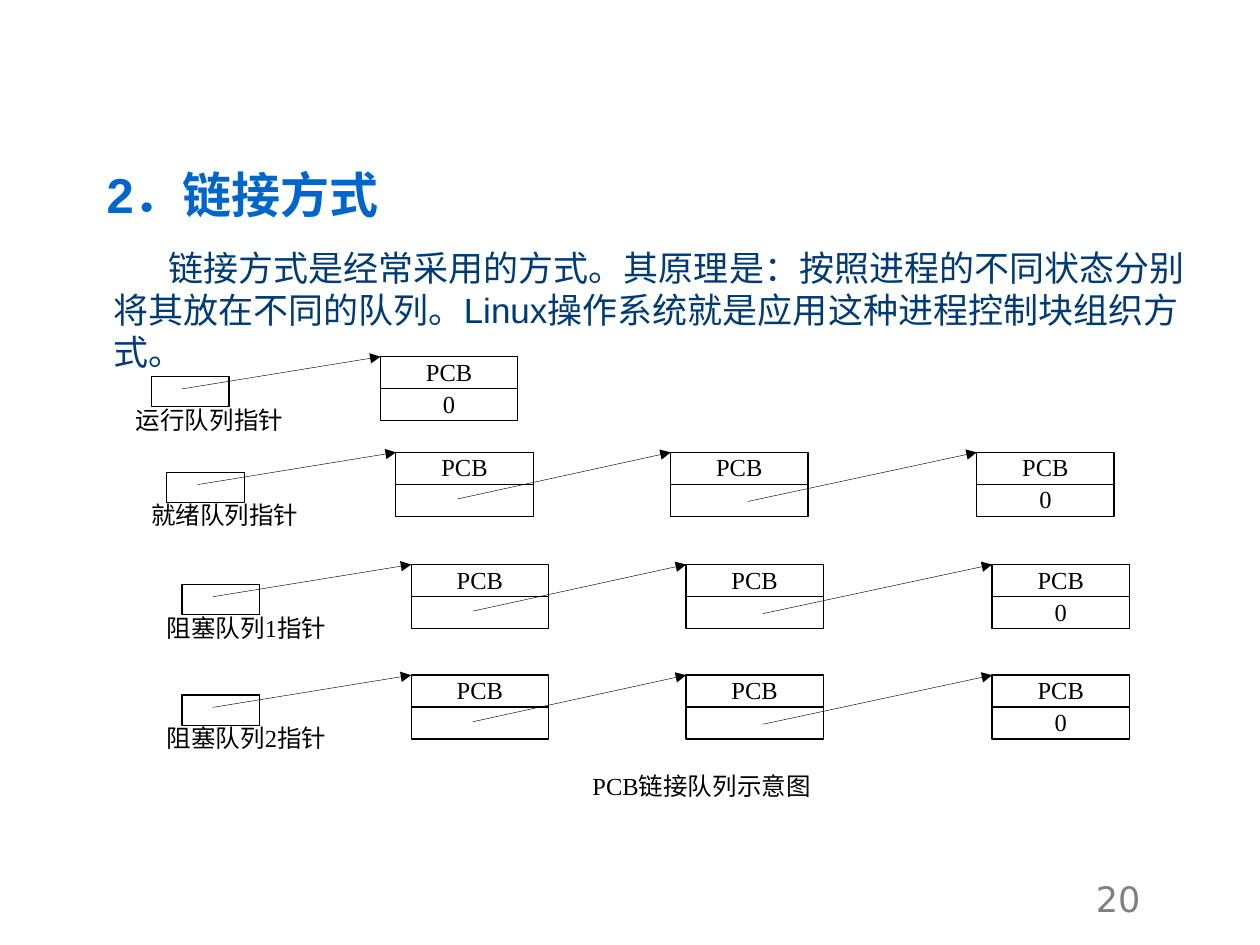
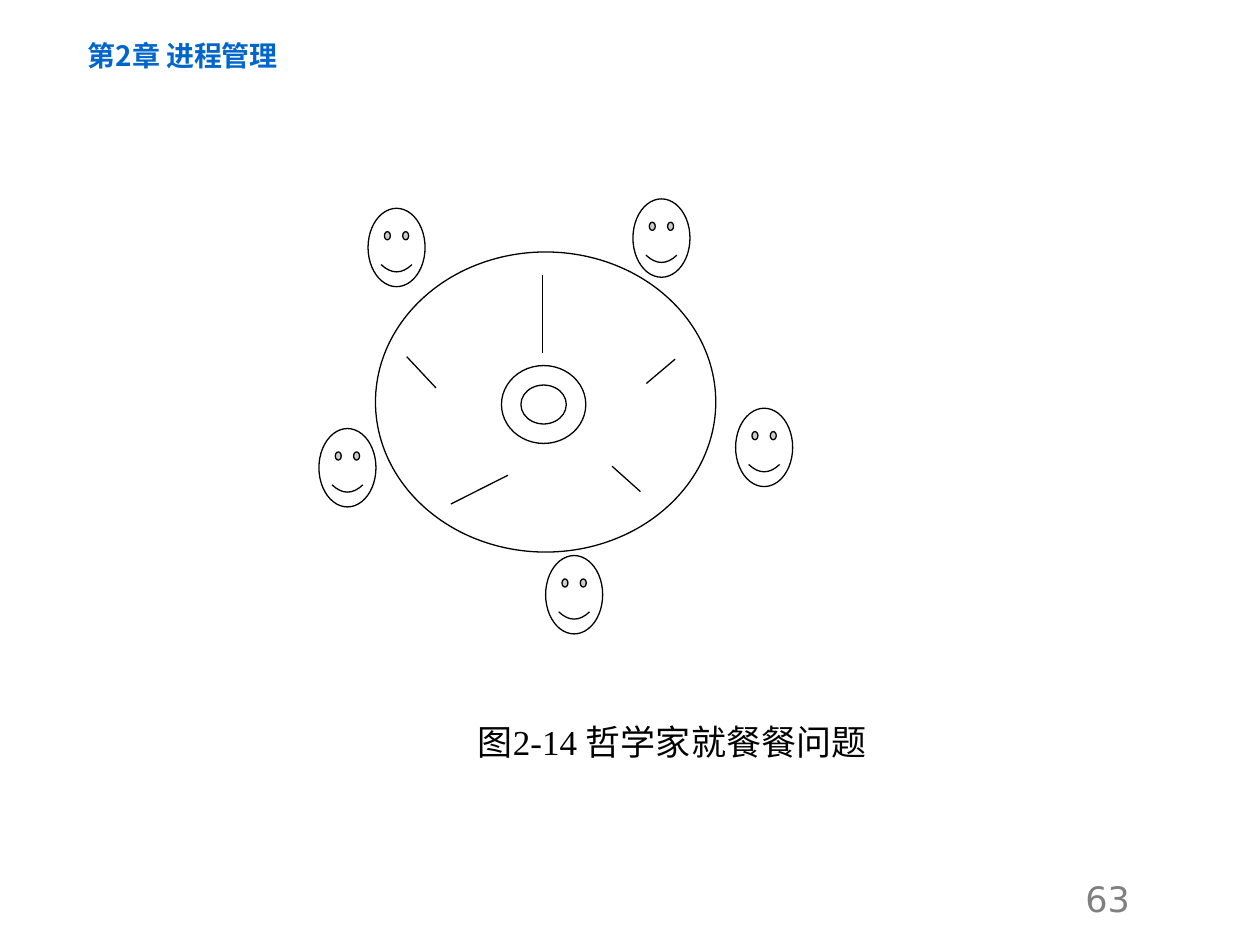
from dataclasses import dataclass
from typing import NamedTuple

from lxml import etree
from pptx import Presentation
from pptx.dml.color import RGBColor
from pptx.enum import shapes, text
from pptx.oxml.ns import qn
from pptx.util import Cm, Pt

# Shared style
BLUE, NAVY, GREY = "0066CC", "003B76", "808080"
BLACK, WHITE = "000000", "FFFFFF"
SANS, SERIF, NUMBER, CJK = "Arial", "Times New Roman", "DejaVu Sans", "Noto Sans CJK SC"
LEFT, CENTER = text.PP_ALIGN.LEFT, text.PP_ALIGN.CENTER
TOP, MIDDLE = text.MSO_ANCHOR.TOP, text.MSO_ANCHOR.MIDDLE
INSET = (0.25, 0.13)
NO_INSET = (0, 0)


class Box(NamedTuple):
    x: float
    y: float
    w: float
    h: float


class Point(NamedTuple):
    x: float
    y: float


class Style(NamedTuple):
    font: str
    size: int
    color: str
    bold: bool = False
    align: text.PP_ALIGN = LEFT


@dataclass
class Queue:
    label: str
    shift: float
    top: float
    length: int


TITLE = Style(SANS, 28, BLUE, True)
CHAPTER = Style(CJK, 16, BLUE, True, CENTER)
BODY = Style(SANS, 20, NAVY)
LABEL = Style(SERIF, 14, BLACK)
CELL = LABEL._replace(align=CENTER)
CAPTION = Style(SERIF, 20, BLACK, align=CENTER)
PAGE = Style(NUMBER, 20, GREY)


# Drawing helpers
def rgb(color: str) -> RGBColor:
    return RGBColor.from_string(color)


def place(box: Box) -> list:
    return [Cm(v) for v in box]


def write(sp, content: str, style: Style, inset=INSET, anchor=TOP, indent=0.0, wrap=True) -> None:
    tf = sp.text_frame
    tf.auto_size = text.MSO_AUTO_SIZE.NONE
    tf.word_wrap = wrap
    tf.vertical_anchor = anchor
    tf.margin_left = tf.margin_right = Cm(inset[0])
    tf.margin_top = tf.margin_bottom = Cm(inset[1])
    p = tf.paragraphs[0]
    p.text = content
    p.alignment = style.align
    p.font.size = Pt(style.size)
    p.font.bold = style.bold
    p.font.color.rgb = rgb(style.color)
    p.font.name = style.font
    p_pr = p._p.get_or_add_pPr()
    if indent:
        p_pr.set("indent", str(Cm(indent)))
    etree.SubElement(p_pr.find(qn("a:defRPr")), qn("a:ea"), typeface=CJK)


def add_text(slide, box: Box, content: str, style: Style, **options) -> None:
    write(slide.shapes.add_textbox(*place(box)), content, style, **options)


def add_outline(slide, kind, box: Box, line: str = BLACK):
    sp = slide.shapes.add_shape(kind, *place(box))
    sp.shadow.inherit = False
    sp.fill.solid()
    sp.fill.fore_color.rgb = rgb(WHITE)
    sp.line.color.rgb = rgb(line)
    sp.line.width = Pt(0.75)
    return sp


def add_rect(slide, box: Box, content: str = "", style: Style = CELL, line: str = BLACK) -> None:
    sp = add_outline(slide, shapes.MSO_SHAPE.RECTANGLE, box, line)
    if content:
        write(sp, content, style, NO_INSET)


def add_line(slide, start: Point, end: Point, width: float = 0.75, arrow: bool = False) -> None:
    line = slide.shapes.add_connector(
        shapes.MSO_CONNECTOR.STRAIGHT, *[Cm(v) for v in (*start, *end)])
    line.line.color.rgb = rgb(BLACK)
    line.line.width = Pt(width)
    sp_pr = line._element.spPr
    if arrow:
        etree.SubElement(sp_pr.find(qn("a:ln")), qn("a:tailEnd"), type="triangle")
    etree.SubElement(sp_pr, qn("a:effectLst"))


def add_slide(prs, title: str, style: Style, box: Box, page: str, page_x: float):
    slide = prs.slides.add_slide(prs.slide_layouts[5])
    sp = slide.shapes.title
    sp.left, sp.top, sp.width, sp.height = place(box)
    write(sp, title, style, anchor=MIDDLE)
    add_text(slide, Box(page_x, 17.55, 3.91, 1.3), page, PAGE, wrap=False)
    return slide


# Linked PCB queues
NODE_X = (7.67, 13.21, 19.38)
NODE_W, CELL_H = 2.77, 0.645
POINTER_X = 3.05
LINK_STARTS = (Point(POINTER_X + 0.62, 0.65),
               Point(NODE_X[0] + 1.24, 0.94),
               Point(NODE_X[1] + 1.55, 0.99))
QUEUES = (
    Queue("运行队列指针", 0, 7.19, 1),
    Queue("就绪队列指针", 0.31, 9.12, 3),
    Queue("阻塞队列1指针", 0.62, 11.38, 3),
    Queue("阻塞队列2指针", 0.62, 13.61, 3),
)


def draw_queue(slide, queue: Queue) -> None:
    dx, top = queue.shift, queue.top
    add_rect(slide, Box(2.74 + dx, top + 0.97, 4.32, 0.61), queue.label, LABEL, WHITE)
    add_rect(slide, Box(POINTER_X + dx, top + 0.4, 1.57, 0.61))
    for i, x in enumerate(NODE_X[:queue.length]):
        last = i == queue.length - 1
        add_rect(slide, Box(x + dx, top, NODE_W, CELL_H), "PCB")
        add_rect(slide, Box(x + dx, top + CELL_H, NODE_W, CELL_H), "0" if last else "")
    for start, x in zip(LINK_STARTS, NODE_X[:queue.length]):
        add_line(slide, Point(start.x + dx, top + start.y), Point(x + dx, top), 0.25, True)


def build_queues(prs) -> None:
    slide = add_slide(prs, "2．链接方式", TITLE, Box(1.9, 2.31, 21.59, 3.18), "20", 21.84)
    add_text(slide, Box(2.03, 4.83, 22.45, 2.79),
             "链接方式是经常采用的方式。其原理是：按照进程的不同状态分别将其放在不同的队列。"
             "Linux操作系统就是应用这种进程控制块组织方式。", BODY, indent=1.11)
    for queue in QUEUES:
        draw_queue(slide, queue)
    add_rect(slide, Box(8.15, 15.54, 11.99, 0.64), "PCB链接队列示意图", CELL, WHITE)


# Dining philosophers
FACES = (Point(11, 11.2), Point(14.83, 8.23), Point(12.76, 4.01),
         Point(7.42, 4.2), Point(6.43, 8.64))
CHOPSTICKS = (
    (Point(8.79, 7.82), Point(8.2, 7.19)),
    (Point(10.93, 5.54), Point(10.93, 7.11)),
    (Point(13.61, 7.24), Point(13.03, 7.73)),
    (Point(10.24, 9.58), Point(9.09, 10.16)),
    (Point(12.34, 9.4), Point(12.91, 9.91)),
)


def build_philosophers(prs) -> None:
    slide = add_slide(prs, "第2章 进程管理", CHAPTER, Box(0.69, 0.91, 5.99, 0.41), "63", 21.63)
    add_outline(slide, shapes.MSO_SHAPE.OVAL, Box(7.57, 5.08, 6.86, 6.05))
    for start, end in CHOPSTICKS:
        add_line(slide, start, end)
    for face in FACES:
        add_outline(slide, shapes.MSO_SHAPE.SMILEY_FACE, Box(*face, 1.15, 1.58))
    add_outline(slide, shapes.MSO_SHAPE.DONUT, Box(10.11, 7.37, 1.7, 1.57))
    add_text(slide, Box(5.28, 14.53, 16.54, 1.57), "图2-14 哲学家就餐餐问题",
             CAPTION, inset=(0.25, 0))


def main() -> None:
    prs = Presentation()
    prs.slide_width, prs.slide_height = Cm(25.4), Cm(19.05)
    build_queues(prs)
    build_philosophers(prs)
    prs.save("out.pptx")


if __name__ == "__main__":
    main()
